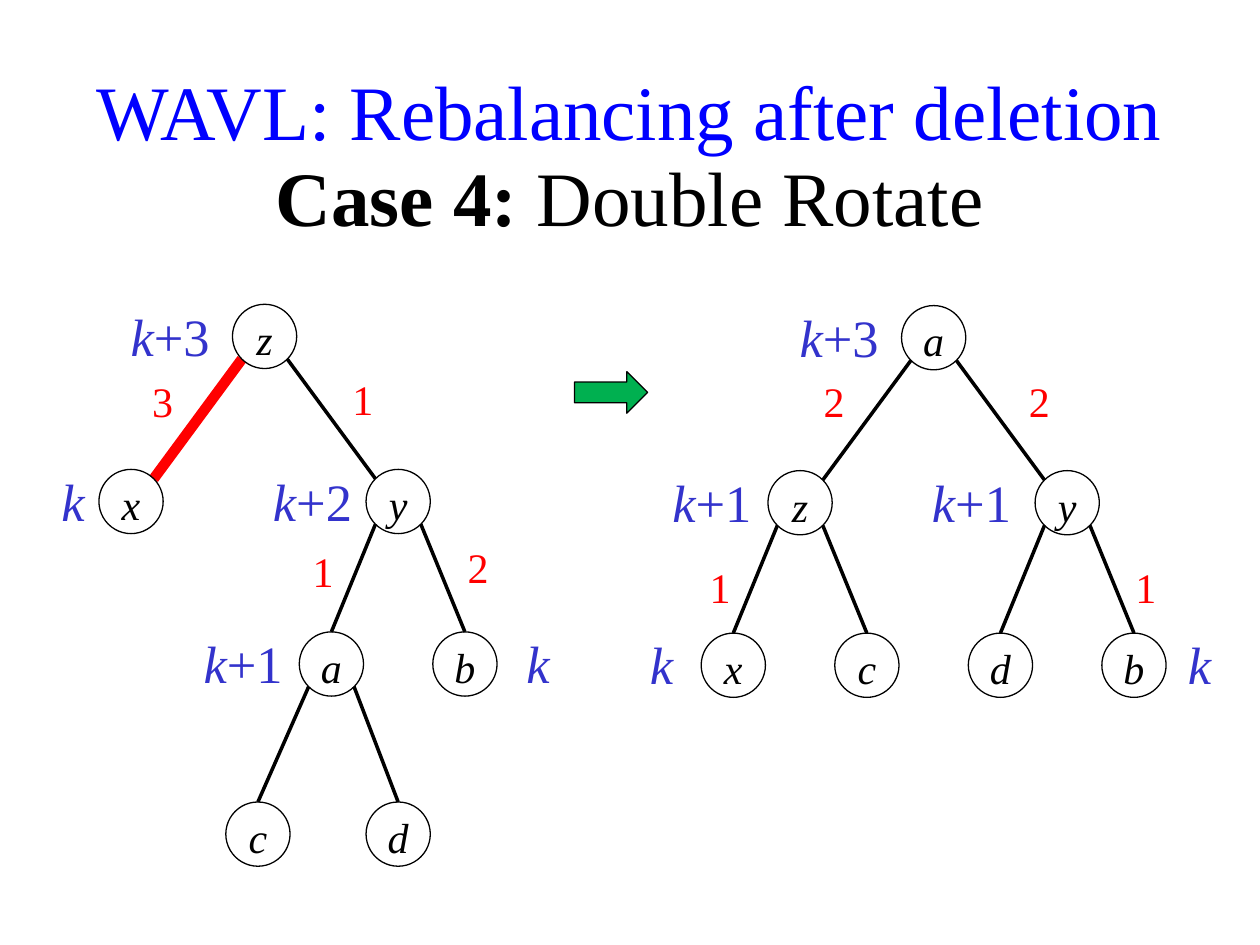
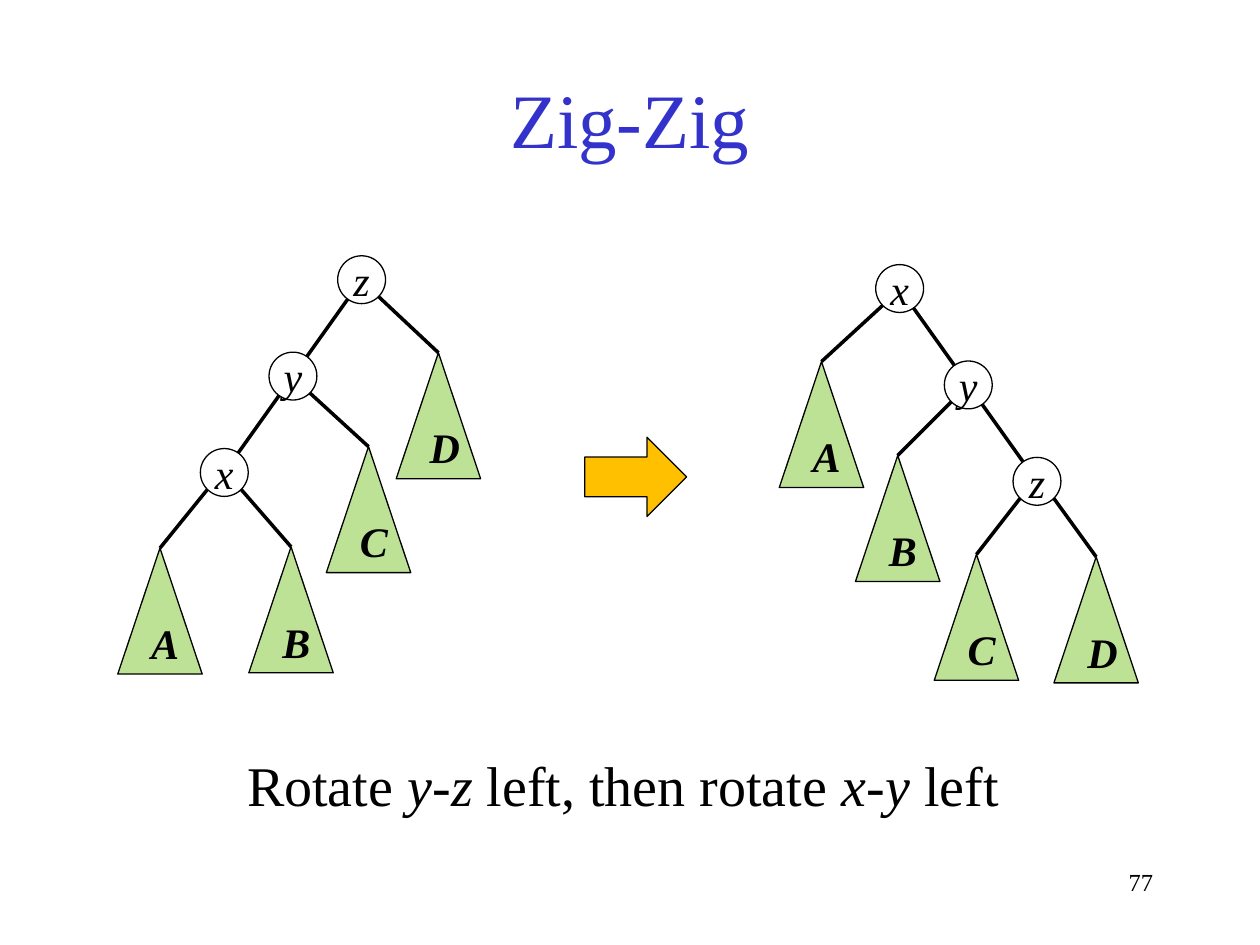
from lxml import etree
from pptx import Presentation
from pptx.dml.color import RGBColor
from pptx.enum import shapes, text
from pptx.oxml.ns import qn
from pptx.util import Inches, Pt

FONT = "Times New Roman"
BLACK, WHITE, RED, BLUE, INDIGO = "000000", "FFFFFF", "FF0000", "0000FF", "3333CC"
GREEN, LIME, AMBER = "00B050", "92D050", "FFC000"
WIDTH, HEIGHT = 10, 7.5
TOP, MIDDLE = text.MSO_ANCHOR.TOP, text.MSO_ANCHOR.MIDDLE
CENTER, RIGHT = text.PP_ALIGN.CENTER, text.PP_ALIGN.RIGHT
SHAPE = shapes.MSO_SHAPE


def put(s, box, runs=(), size=24, color=BLACK, kind=None, fill=None, alpha=None,
        anchor=TOP, align=CENTER, inset=None):
    """Add a text box, or a preset shape if kind is given; runs are (text, style) with style of b, i."""
    box = [Inches(v) for v in box]
    if kind is None:
        sp = s.shapes.add_textbox(*box)
    else:
        sp = s.shapes.add_shape(kind, *box)
        sp.shadow.inherit = False
        sp.line.color.rgb = RGBColor.from_string(BLACK)
        sp.line.width = Pt(0.75)
        if fill:
            sp.fill.solid()
            sp.fill.fore_color.rgb = RGBColor.from_string(fill)
        else:
            sp.fill.background()
        if alpha:
            srgb = sp.fill._xPr.find(".//" + qn("a:srgbClr"))
            etree.SubElement(srgb, qn("a:alpha")).set("val", str(alpha * 1000))
    tf = sp.text_frame
    tf.word_wrap = True
    tf.vertical_anchor = anchor
    if inset is not None:
        tf.margin_left = tf.margin_right = tf.margin_top = tf.margin_bottom = Inches(inset)
    p = tf.paragraphs[0]
    p.alignment = align
    for words, style in runs:
        r = p.add_run()
        r.text = words
        r.font.name, r.font.size = FONT, Pt(size)
        r.font.bold, r.font.italic = "b" in style, "i" in style
        r.font.color.rgb = RGBColor.from_string(color)


def link(s, start, end, color=BLACK, width=2):
    """Draw a tree edge between two points."""
    c = s.shapes.add_connector(shapes.MSO_CONNECTOR.STRAIGHT,
                               *[Inches(v) for v in (*start, *end)])
    c.line.color.rgb = RGBColor.from_string(color)
    c.line.width = Pt(width)
    etree.SubElement(c._element.spPr, qn("a:effectLst"))


prs = Presentation()
prs.slide_width, prs.slide_height = Inches(WIDTH), Inches(HEIGHT)
titles = [("WAVL: Rebalancing after deletion", BLUE, 0.36), ("Zig-Zig", INDIGO, 0.42)]
for title, color, top in titles:
    s = prs.slides.add_slide(prs.slide_layouts[6])
    put(s, (0, top, WIDTH, 1.02), [(title, "")], 44, color, anchor=MIDDLE)
wavl, zigzig = prs.slides

# Double rotation: nodes sit on a grid of columns and rows
put(wavl, (0, 1.14, WIDTH, 0.84), [("Case 4:", "b"), (" Double Rotate", "")], 44)
COLUMN, ROWS = 0.53, (2.67, 3.98, 5.27, 6.62)
NODE, RIM = 0.51, 0.18

# node: column, row, rank suffix (None hides the rank), rank centre relative to the node
# edge: parent, child, rank difference, its centre relative to the edge's middle
before = (
    1.04, 0,
    {"z": (2, 0, "+3", -0.75), "x": (0, 1, "", -0.46), "y": (4, 1, "+2", -0.68),
     "a": (3, 2, "+1", -0.7), "b": (5, 2, "", 0.58),
     "c": (1.9, 3, None, 0), "d": (4, 3, None, 0)},
    [("z", "x", "3", -0.28, -0.14), ("z", "y", "1", 0.25, -0.16),
     ("y", "a", "1", -0.24, -0.06), ("y", "b", "2", 0.28, -0.09),
     ("a", "c", "", 0, 0), ("a", "d", "", 0, 0)])
after = (
    5.82, 0.01,
    {"a": (3, 0, "+3", -0.75), "z": (1, 1, "+1", -0.7), "y": (5, 1, "+1", -0.76),
     "x": (0, 2, "", -0.57), "c": (2, 2, None, 0), "d": (4, 2, None, 0),
     "b": (6, 2, "", 0.52)},
    [("a", "z", "2", -0.26, -0.15), ("a", "y", "2", 0.31, -0.15),
     ("z", "x", "1", -0.28, 0.06), ("z", "c", "", 0, 0),
     ("y", "d", "", 0, 0), ("y", "b", "1", 0.27, 0.06)])

for left, drop, nodes, edges in (before, after):
    centre = {n: (left + col * COLUMN, ROWS[row] + drop)
              for n, (col, row, _, _) in nodes.items()}
    for parent, child, difference, dx, dy in edges:
        (px, py), (cx, cy) = centre[parent], centre[child]
        side = 1 if cx > px else -1
        start = (px + side * RIM, py + RIM)
        if nodes[parent][1] == 0:
            end = (cx - side * RIM, cy - RIM)
        else:
            end = (cx, cy - NODE / 2)
        heavy = difference == "3"
        link(wavl, start, end, RED if heavy else BLACK, 6 if heavy else 2)
        if difference:
            x, y = (start[0] + end[0]) / 2 + dx, (start[1] + end[1]) / 2 + dy
            put(wavl, (x - 0.32, y - 0.25, 0.64, 0.5), [(difference, "")], color=RED)
    for name, (_, _, rank, dx) in nodes.items():
        x, y = centre[name]
        put(wavl, (x - NODE / 2, y - NODE / 2, NODE, NODE), [(name, "i")],
            kind=SHAPE.OVAL, inset=0)
        if rank is not None:
            w = 1.05 if rank else 0.68
            runs = [("k", "i"), (rank, "")] if rank else [("k", "i")]
            put(wavl, (x + dx - w / 2, y - 0.31, w, 0.61), runs, 30, INDIGO)
put(wavl, (4.56, 2.95, 0.58, 0.33), kind=SHAPE.RIGHT_ARROW, fill=GREEN)

# Zig-zig: a diagonal spine of nodes with triangular subtrees
STEP_X, STEP_Y = 0.545, 0.765
KNOT, KNOT_RIM = 0.38, 0.13
SUBTREE_W, SUBTREE_H = 0.67, 1

# top node, spine direction, spine names, subtrees as (name, spine index, apex offset)
left_spine = (2.87, 2.22, -1, "zyx",
              [("A", 2, -0.51, 0.6), ("D", 0, 0.61, 0.58),
               ("C", 1, 0.6, 0.56), ("B", 2, 0.53, 0.59)])
right_spine = (7.14, 2.29, 1, "xyz",
               [("D", 2, 0.47, 0.6), ("A", 0, -0.62, 0.58),
                ("B", 1, -0.56, 0.56), ("C", 2, -0.48, 0.58)])
for x0, y0, direction, names, subtrees in (left_spine, right_spine):
    spine = [(x0 + direction * i * STEP_X, y0 + i * STEP_Y) for i in range(len(names))]
    for start, end in zip(spine, spine[1:]):
        link(zigzig, start, end)
    for name, i, dx, dy in subtrees:
        x, y = spine[i]
        put(zigzig, (x + dx - SUBTREE_W / 2, y + dy, SUBTREE_W, SUBTREE_H), [(name, "bi")],
            kind=SHAPE.ISOSCELES_TRIANGLE, fill=LIME, alpha=60)
        side = 1 if dx > 0 else -1
        link(zigzig, (x + side * KNOT_RIM, y + KNOT_RIM), (x + dx, y + dy))
    for name, (x, y) in zip(names, spine):
        put(zigzig, (x - KNOT / 2, y - KNOT / 2, KNOT, KNOT), [(name, "i")],
            kind=SHAPE.OVAL, fill=WHITE, anchor=MIDDLE, inset=0)
put(zigzig, (4.64, 3.47, 0.81, 0.63), kind=SHAPE.RIGHT_ARROW, fill=AMBER)
put(zigzig, (0, 5.91, 9.89, 0.64),
    [("Rotate ", ""), ("y", "i"), ("-", ""), ("z", "i"), (" left, then rotate ", ""),
     ("x", "i"), ("-", ""), ("y", "i"), (" left", "")], 32)
put(zigzig, (7.17, 6.83, 2.08, 0.5), [("77", "")], 14, align=RIGHT)

prs.save("out.pptx")
